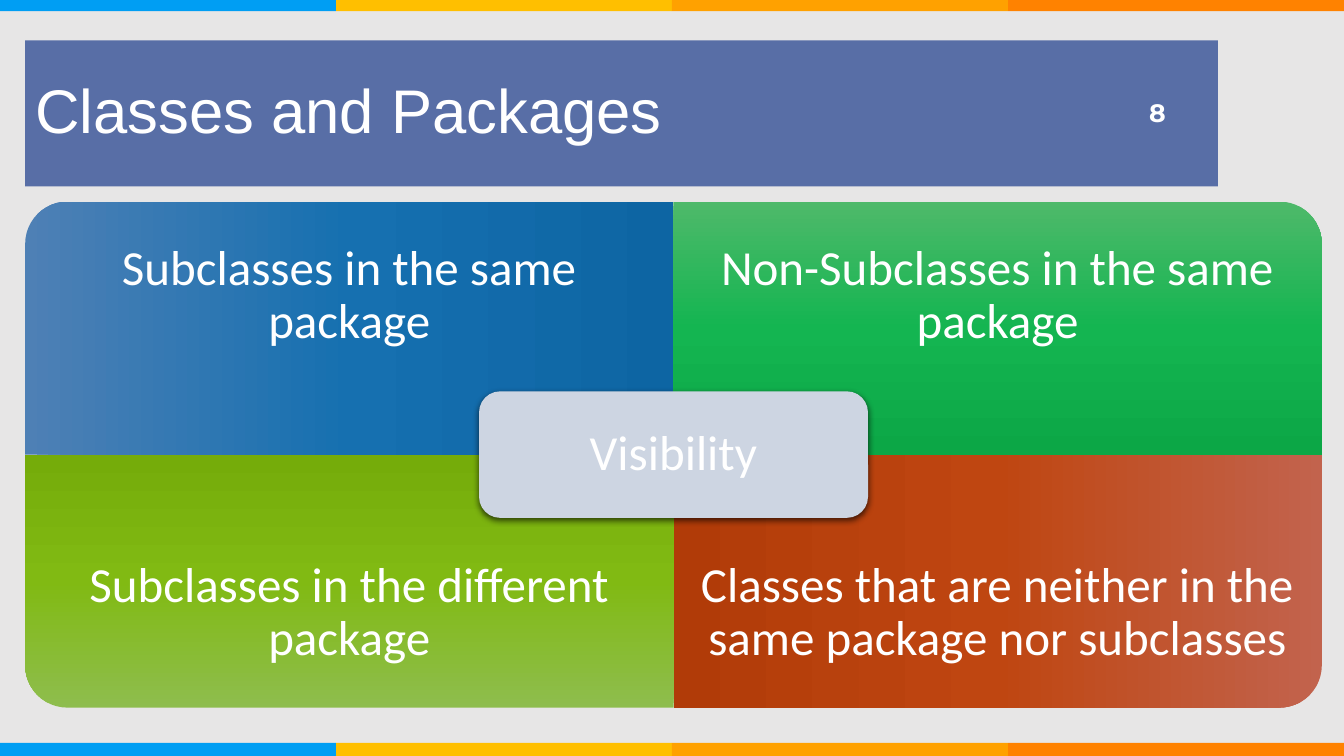
import copy
from dataclasses import dataclass

import lxml.etree
import pptx
import pptx.util
import pptx.dml.color
import pptx.enum.shapes
import pptx.enum.text
import pptx.oxml

Inches = pptx.util.Inches
Pt = pptx.util.Pt
Shape = pptx.enum.shapes.MSO_SHAPE
Align = pptx.enum.text.PP_ALIGN


@dataclass(frozen=True)
class Theme:
    background: str = "E7E6E6"
    banner: str = "586EA6"
    center: str = "CDD5E2"
    text: str = "FFFFFF"
    bands: tuple = ("009EF3", "FFBF00", "FFA100", "FF8200")
    title_font: str = "Arial"
    body_font: str = "Calibri"
    number_font: str = "Montserrat"
    title_size: int = 44
    body_size: int = 35
    number_size: int = 18


THEME = Theme()
TITLE = "Classes and Packages"
PAGE_NUMBER = "8"
CENTER = "Visibility"
QUADRANTS = [
    ("Subclasses in the same package", 0, 0, 270, ("4E80B5", "1670B0", "0D65A3")),
    ("Non-Subclasses in the same package", 0, 1, 0, ("4EB96A", "14B551", "0CA746")),
    ("Subclasses in the different package", 1, 0, 180, ("8EBD4D", "81BA13", "75AC0A")),
    ("Classes that are neither in the same package nor subclasses", 1, 1, 90,
     ("C2634D", "BF4611", "B13B08")),
]

SLIDE_WIDTH, SLIDE_HEIGHT = 13.33, 7.5
BAND_HEIGHTS = ((0, 0.11), (7.37, 0.13))
GRID_LEFT, GRID_TOP = 0.25, 2
CELL_WIDTH, CELL_HEIGHT = 6.43, 2.51
LABEL_HEIGHT = CELL_HEIGHT * 0.75
CENTER_WIDTH, CENTER_HEIGHT = CELL_WIDTH * 0.6, CELL_HEIGHT / 2
CENTER_SHADOW = (
    '<a:effectLst xmlns:a="http://schemas.openxmlformats.org/drawingml/2006/main">'
    '<a:outerShdw blurRad="57150" dist="19050" dir="5400000" algn="ctr" rotWithShape="0">'
    '<a:srgbClr val="000000"><a:alpha val="63000"/></a:srgbClr>'
    '</a:outerShdw></a:effectLst>'
)


def rgb(value):
    return pptx.dml.color.RGBColor.from_string(value)


def box(left, top, width, height):
    return tuple(Inches(value) for value in (left, top, width, height))


def add_shape(slide, kind, position, color=None):
    shape = slide.shapes.add_shape(kind, *position)
    shape.shadow.inherit = False
    shape.line.fill.background()
    if color:
        shape.fill.solid()
        shape.fill.fore_color.rgb = rgb(color)
    return shape


def write(shape, text, font, size, align, inset, bold=False, spacing=0.9):
    frame = shape.text_frame
    frame.word_wrap = True
    frame.auto_size = pptx.enum.text.MSO_AUTO_SIZE.NONE
    frame.vertical_anchor = pptx.enum.text.MSO_ANCHOR.MIDDLE
    frame.margin_left = frame.margin_right = Inches(inset)
    frame.margin_top = frame.margin_bottom = Inches(inset)
    frame.text = text
    paragraph = frame.paragraphs[0]
    paragraph.alignment = align
    paragraph.line_spacing = spacing
    paragraph.font.name = font
    paragraph.font.size = Pt(size)
    paragraph.font.bold = bold
    paragraph.font.color.rgb = rgb(THEME.text)


def fill_gradient(shape, colors):
    shape.fill.gradient()
    shape.fill.gradient_angle = 270
    stop_list = shape.fill._fill._gradFill.gsLst
    stop_list.insert(1, copy.deepcopy(stop_list[0]))
    for stop, color, position in zip(shape.fill.gradient_stops, colors, (0, 0.5, 1)):
        stop.color.rgb = rgb(color)
        stop.position = position


def add_bands(slide):
    width = SLIDE_WIDTH / len(THEME.bands)
    for top, height in BAND_HEIGHTS:
        for index, color in enumerate(THEME.bands):
            add_shape(slide, Shape.RECTANGLE, box(index * width, top, width, height), color)


def add_title(slide):
    title = slide.shapes.title
    title.left, title.top, title.width, title.height = box(0.25, 0.4, 11.83, 1.45)
    title.fill.solid()
    title.fill.fore_color.rgb = rgb(THEME.banner)
    write(title, TITLE, THEME.title_font, THEME.title_size, Align.LEFT, 0.1)


def add_quadrant(slide, text, row, column, rotation, colors):
    left = GRID_LEFT + column * CELL_WIDTH
    top = GRID_TOP + row * CELL_HEIGHT
    width, height = CELL_WIDTH, CELL_HEIGHT
    if rotation % 180:
        width, height = height, width
    position = box(left + (CELL_WIDTH - width) / 2, top + (CELL_HEIGHT - height) / 2, width, height)
    quadrant = add_shape(slide, Shape.ROUND_1_RECTANGLE, position)
    quadrant.rotation = rotation
    fill_gradient(quadrant, colors)
    label_top = top + row * (CELL_HEIGHT - LABEL_HEIGHT)
    label = slide.shapes.add_textbox(*box(left, label_top, CELL_WIDTH, LABEL_HEIGHT))
    write(label, text, THEME.body_font, THEME.body_size, Align.CENTER, 0.27)


def add_center(slide):
    left = GRID_LEFT + CELL_WIDTH - CENTER_WIDTH / 2
    top = GRID_TOP + CELL_HEIGHT - CENTER_HEIGHT / 2
    position = box(left, top, CENTER_WIDTH, CENTER_HEIGHT)
    center = add_shape(slide, Shape.ROUNDED_RECTANGLE, position, THEME.center)
    properties = center._element.spPr
    properties.remove(properties.find(pptx.oxml.ns.qn("a:effectLst")))
    properties.append(lxml.etree.fromstring(CENTER_SHADOW))
    write(center, CENTER, THEME.body_font, THEME.body_size, Align.CENTER, 0.15)


def main():
    presentation = pptx.Presentation()
    presentation.slide_width = Inches(SLIDE_WIDTH)
    presentation.slide_height = Inches(SLIDE_HEIGHT)
    slide = presentation.slides.add_slide(presentation.slide_layouts[5])
    slide.background.fill.solid()
    slide.background.fill.fore_color.rgb = rgb(THEME.background)
    add_bands(slide)
    add_title(slide)
    for quadrant in QUADRANTS:
        add_quadrant(slide, *quadrant)
    add_center(slide)
    number = slide.shapes.add_textbox(*box(11.09, 0.92, 0.57, 0.4))
    write(number, PAGE_NUMBER, THEME.number_font, THEME.number_size, Align.RIGHT, 0.1, True, 1)
    presentation.save("out.pptx")


if __name__ == "__main__":
    main()
